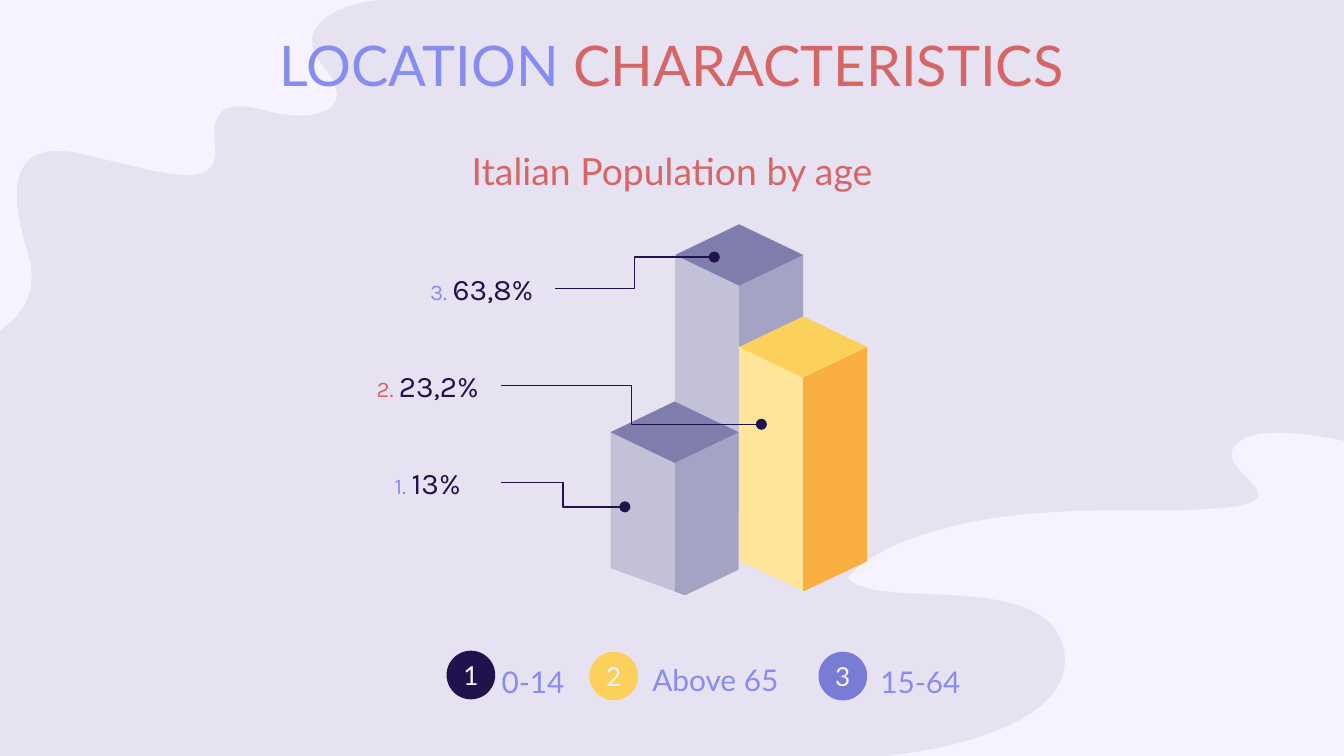
from dataclasses import dataclass

import pptx
import pptx.dml.color
import pptx.enum.shapes
import pptx.enum.text
import pptx.oxml
import pptx.oxml.ns
import pptx.util

Cm = pptx.util.Cm
qn = pptx.oxml.ns.qn
ALIGN = pptx.enum.text.PP_ALIGN
ANCHOR = pptx.enum.text.MSO_ANCHOR


@dataclass(frozen=True)
class Theme:
    background: str = "E7E2F2"
    pale: str = "F6F2FF"
    periwinkle: str = "878CF0"
    violet: str = "787CD5"
    red: str = "D66565"
    navy: str = "20124D"
    yellow: str = "FBD15B"
    # Column faces: left, right, top
    purple_faces: tuple = ("C2C1D7", "A4A3C4", "7F7DAB")
    yellow_faces: tuple = ("FFE599", "F9AE40", "FBD15B")
    body_font: str = "Lato"
    number_font: str = "Karla"
    title_size: int = 30
    subtitle_size: int = 20
    label_size: int = 16
    badge_size: int = 14
    index_size: int = 12


THEME = Theme()
HALF_WIDTH, HALF_DEPTH = 1.21, 0.58  # column top, in cm
LABEL_HEIGHT = 0.99
BADGE_DIAMETER = 0.92

# Outlines in cm: two numbers make a line, six make a Bezier curve
TOP_LEFT_BLOB = [
    (0.53, 4.8),
    (0.3, 4.04, -0.1, 2.51, 1.6, 2.92),
    (3.33, 3.33, 4.17, 3.63, 4.06, 2.69),
    (3.96, 1.83, 4.6, 1.98, 5.11, 2.11),
    (5.51, 2.21, 6.17, 2.26, 6.35, 1.9),
    (6.4, 1.75, 6.35, 1.55, 6.1, 1.24),
    (5.41, 0.41, 6.65, 0, 7.26, 0),
    (-0.1, 0),
    (-0.1, 6.3),
    (-0.1, 6.3, 0.86, 5.84, 0.53, 4.8),
]
BOTTOM_RIGHT_BLOB = [
    (24.16, 8.18),
    (23.75, 8.18, 23.39, 8.26, 23.29, 8.51),
    (23.09, 9.07, 25.27, 9.65, 21.82, 9.65),
    (21.64, 9.65, 21.44, 9.65, 21.23, 9.65),
    (21.13, 9.65, 21.03, 9.65, 20.93, 9.65),
    (16.92, 9.65, 16.03, 10.92, 16.03, 10.92),
    (16.51, 11.58, 19.94, 10.69, 20.12, 12.37),
    (20.29, 14.02, 16.59, 14.31, 16.59, 14.31),
    (25.5, 14.31),
    (25.5, 8.36),
    (25.5, 8.36, 24.77, 8.18, 24.16, 8.18),
]


def rgb(color):
    return pptx.dml.color.RGBColor.from_string(color)


def paint(shape, color):
    shape.shadow.inherit = False
    shape.fill.solid()
    shape.fill.fore_color.rgb = rgb(color)
    shape.line.fill.background()


def write_text(shape, text, *, size, color, font=THEME.body_font,
               align=ALIGN.CENTER, anchor=ANCHOR.MIDDLE, inset=0.25):
    """Append a run to the shape's only paragraph."""
    frame = shape.text_frame
    frame.word_wrap = True
    frame.vertical_anchor = anchor
    frame.margin_left = frame.margin_right = Cm(inset)
    frame.margin_top = frame.margin_bottom = Cm(inset)
    paragraph = frame.paragraphs[0]
    paragraph.alignment = align
    run = paragraph.add_run()
    run.text = text
    run.font.name = font
    run.font.size = pptx.util.Pt(size)
    run.font.color.rgb = rgb(color)


def add_box(slide, left, top, width, height):
    return slide.shapes.add_textbox(Cm(left), Cm(top), Cm(width), Cm(height))


def add_polygon(shapes, points, color):
    corners = [(Cm(x), Cm(y)) for x, y in points]
    builder = shapes.build_freeform(*corners[0], scale=1.0)
    builder.add_line_segments(corners[1:], close=True)
    shape = builder.convert_to_shape()
    paint(shape, color)
    return shape


def add_blob(shapes, outline, color):
    """Draw all points as a polygon, then turn each curve's three lines into one Bezier."""
    points = [pair for segment in outline for pair in zip(segment[::2], segment[1::2])]
    shape = add_polygon(shapes, points, color)
    lines = iter(list(shape._element.iter(qn("a:lnTo"))))
    for segment in outline[1:]:
        line = next(lines)
        if len(segment) == 6:
            curve = line.makeelement(qn("a:cubicBezTo"), {})
            line.addprevious(curve)
            for part in (line, next(lines), next(lines)):
                curve.append(part[0])
                part.getparent().remove(part)


def add_diamond(shapes, x, y, color):
    add_polygon(shapes, [(x, y + HALF_DEPTH), (x - HALF_WIDTH, y),
                         (x, y - HALF_DEPTH), (x + HALF_WIDTH, y)], color)


def add_column(shapes, x, y, left_base, front_base, right_base, faces):
    """Draw a column; right_base lists the outer corners of its right face."""
    left, right, top = faces
    add_polygon(shapes, [(x - HALF_WIDTH, y), (x, y), (x, front_base),
                         (x - HALF_WIDTH, left_base)], left)
    add_polygon(shapes, [(x + HALF_WIDTH, y), (x, y), (x, front_base), *right_base], right)
    add_diamond(shapes, x, y, top)


def add_callout(slide, left, top, index, value, index_color, target):
    width = 2.77
    box = add_box(slide, left, top, width, LABEL_HEIGHT)
    write_text(box, index + " ", size=THEME.index_size, color=index_color,
               font=THEME.number_font)
    write_text(box, value, size=THEME.label_size, color=THEME.navy, font=THEME.number_font)

    connector = slide.shapes.add_connector(
        pptx.enum.shapes.MSO_CONNECTOR.ELBOW, Cm(left + width),
        Cm(top + LABEL_HEIGHT / 2), Cm(target[0]), Cm(target[1]))
    connector.line.color.rgb = rgb(THEME.navy)
    connector.line.width = pptx.util.Pt(0.75)
    connector.line._get_or_add_ln().append(
        pptx.oxml.parse_xml('<a:tailEnd %s type="oval"/>' % pptx.oxml.ns.nsdecls("a")))
    properties = connector._element.spPr
    properties.append(properties.makeelement(qn("a:effectLst"), {}))


def add_badge(slide, left, top, number, color):
    badge = slide.shapes.add_shape(
        pptx.enum.shapes.MSO_SHAPE.OVAL, Cm(left), Cm(top),
        Cm(BADGE_DIAMETER), Cm(BADGE_DIAMETER))
    paint(badge, color)
    write_text(badge, number, size=THEME.badge_size, color=THEME.pale, inset=0)


def main():
    presentation = pptx.Presentation()
    presentation.slide_width, presentation.slide_height = Cm(25.4), Cm(14.29)
    slide = presentation.slides.add_slide(presentation.slide_layouts[6])

    # Background
    slide.background.fill.solid()
    slide.background.fill.fore_color.rgb = rgb(THEME.background)
    for outline in (TOP_LEFT_BLOB, BOTTOM_RIGHT_BLOB):
        add_blob(slide.shapes, outline, THEME.pale)

    # Title and subtitle
    title = add_box(slide, 2, 0.32, 21.4, 1.6)
    for text, color in (("LOCATION ", THEME.periwinkle), ("CHARACTERISTICS", THEME.red)):
        write_text(title, text, size=THEME.title_size, color=color, anchor=ANCHOR.TOP)
    subtitle = add_box(slide, 7.32, 2.73, 10.77, LABEL_HEIGHT)
    write_text(subtitle, "Italian Population by age", size=THEME.subtitle_size, color=THEME.red)

    # Columns, with a base diamond trimming the smallest one
    columns = slide.shapes.add_group_shape().shapes
    add_column(columns, 13.97, 4.82, 9.17, 9.75, [(15.18, 9.17)], THEME.purple_faces)
    add_column(columns, 15.18, 6.56, 10.61, 11.18, [(16.39, 10.61)], THEME.yellow_faces)
    add_column(columns, 12.75, 8.17, 10.74, 11.18, [(13.74, 11.56), (13.96, 11.48)],
               THEME.purple_faces)
    add_diamond(columns, 14.15, 11.26, THEME.background)

    # Callouts
    add_callout(slide, 7.72, 4.96, "3.", "63,8%", THEME.periwinkle, (13.5, 4.86))
    add_callout(slide, 6.7, 6.79, "2.", "23,2%", THEME.red, (14.39, 8.02))
    add_callout(slide, 6.7, 8.63, "1.", "13%", THEME.periwinkle, (11.81, 9.58))

    # Legend: badge position and colour, then label position and width
    legend = [
        ("1", 8.44, 12.3, THEME.navy, "0-14", 9.23, 12.39, 2.69),
        ("2", 11.14, 12.32, THEME.yellow, "Above 65", 12.08, 12.35, 3.25),
        ("3", 15.47, 12.32, THEME.violet, "15-64", 16.39, 12.39, 2.39),
    ]
    for number, left, top, color, text, label_left, label_top, width in legend:
        add_badge(slide, left, top, number, color)
        label = add_box(slide, label_left, label_top, width, LABEL_HEIGHT)
        write_text(label, text, size=THEME.label_size, color=THEME.periwinkle, align=ALIGN.LEFT)

    presentation.save("out.pptx")


if __name__ == "__main__":
    main()
